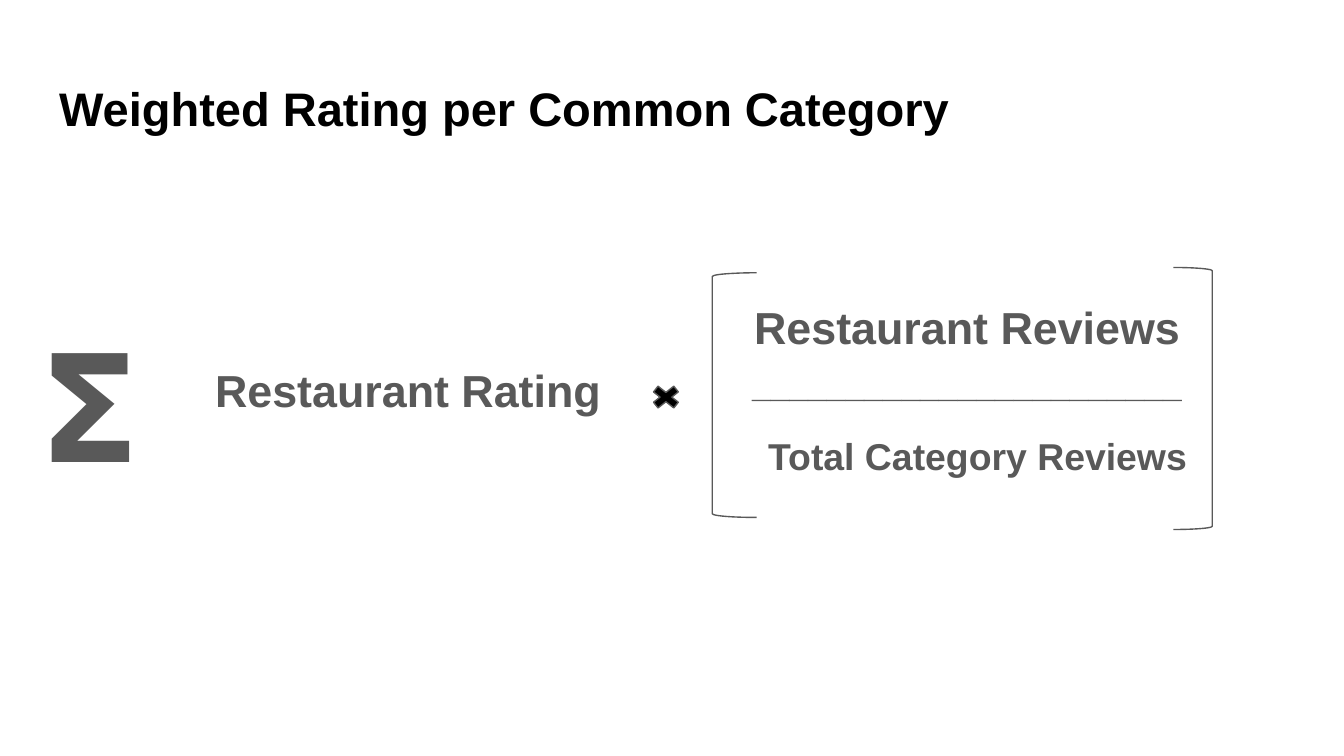
from dataclasses import dataclass

from pptx import Presentation
from pptx.dml.color import RGBColor
from pptx.enum.shapes import MSO_SHAPE
from pptx.enum.text import MSO_ANCHOR, MSO_AUTO_SIZE, PP_ALIGN
from pptx.util import Inches, Pt

TOP, MID, LOW = MSO_ANCHOR.TOP, MSO_ANCHOR.MIDDLE, MSO_ANCHOR.BOTTOM
LEFT, CENTER = PP_ALIGN.LEFT, PP_ALIGN.CENTER
OPEN, CLOSE = MSO_SHAPE.LEFT_BRACKET, MSO_SHAPE.RIGHT_BRACKET
TIMES = MSO_SHAPE.MATH_MULTIPLY
FIXED = MSO_AUTO_SIZE.NONE


@dataclass(frozen=True)
class Theme:
    font: str = "Arial"
    black: RGBColor = RGBColor(0, 0, 0)
    gray: RGBColor = RGBColor(0x59, 0x59, 0x59)
    title: float = 25.2
    term: int = 24
    total: int = 20
    rule: int = 18
    sum: int = 80
    line: float = 0.75


THEME = Theme()
TERM_W, TERM_H = 3.49, 0.78


def place(shape, left, top, width, height):
    shape.left, shape.top = Inches(left), Inches(top)
    shape.width, shape.height = Inches(width), Inches(height)


def write(shape, text, size, color, anchor, align):
    frame = shape.text_frame
    frame.text = text
    frame.word_wrap = True
    frame.auto_size = FIXED
    frame.vertical_anchor = anchor
    frame.margin_left = frame.margin_right = Inches(0.1)
    frame.margin_top = frame.margin_bottom = Inches(0.1)
    para = frame.paragraphs[0]
    para.alignment = align
    font = para.runs[0].font
    font.name, font.size, font.bold = THEME.font, Pt(size), True
    font.color.rgb = color
    return para


def add_title(slide, text):
    title = slide.shapes.title
    place(title, 0.34, 0.49, 9.32, 0.63)
    write(title, text, THEME.title, THEME.black, TOP, LEFT)


def add_term(slide, text, left, top, size, anchor, width=TERM_W, height=TERM_H):
    box = slide.shapes.add_textbox(0, 0, 0, 0)
    place(box, left, top, width, height)
    para = write(box, text, size, THEME.gray, anchor, CENTER)
    para.line_spacing = 1.15
    para.space_after = Pt(12)


def add_sign(slide, kind, left, top, width, height, fill=None):
    sign = slide.shapes.add_shape(kind, 0, 0, 0, 0)
    place(sign, left, top, width, height)
    sign.shadow.inherit = False
    sign.line.color.rgb = THEME.gray
    sign.line.width = Pt(THEME.line)
    if fill is None:
        sign.fill.background()
    else:
        sign.fill.solid()
        sign.fill.fore_color.rgb = fill


def main():
    deck = Presentation()
    deck.slide_width = Inches(10)
    deck.slide_height = Inches(10 * 9 / 16)
    slide = deck.slides.add_slide(deck.slide_layouts[5])

    add_title(slide, "Weighted Rating per Common Category")
    add_term(slide, "Restaurant Reviews", 5.45, 1.95, THEME.term, LOW)
    add_term(slide, "_______________________", 5.45, 2.56, THEME.rule, TOP)
    add_term(slide, "Total Category Reviews", 5.53, 3.07, THEME.total, TOP)
    add_sign(slide, OPEN, 5.3, 2.03, 0.33, 1.82)
    add_sign(slide, CLOSE, 8.73, 1.99, 0.29, 1.95)
    add_term(slide, "Restaurant Rating", 1.29, 2.42, THEME.term, LOW)
    add_sign(slide, TIMES, 4.81, 2.84, 0.29, 0.23, THEME.black)
    add_term(slide, "𝝨", 0.09, 1.56, THEME.sum, MID, 1.15, 2.67)

    deck.save("out.pptx")


if __name__ == "__main__":
    main()
